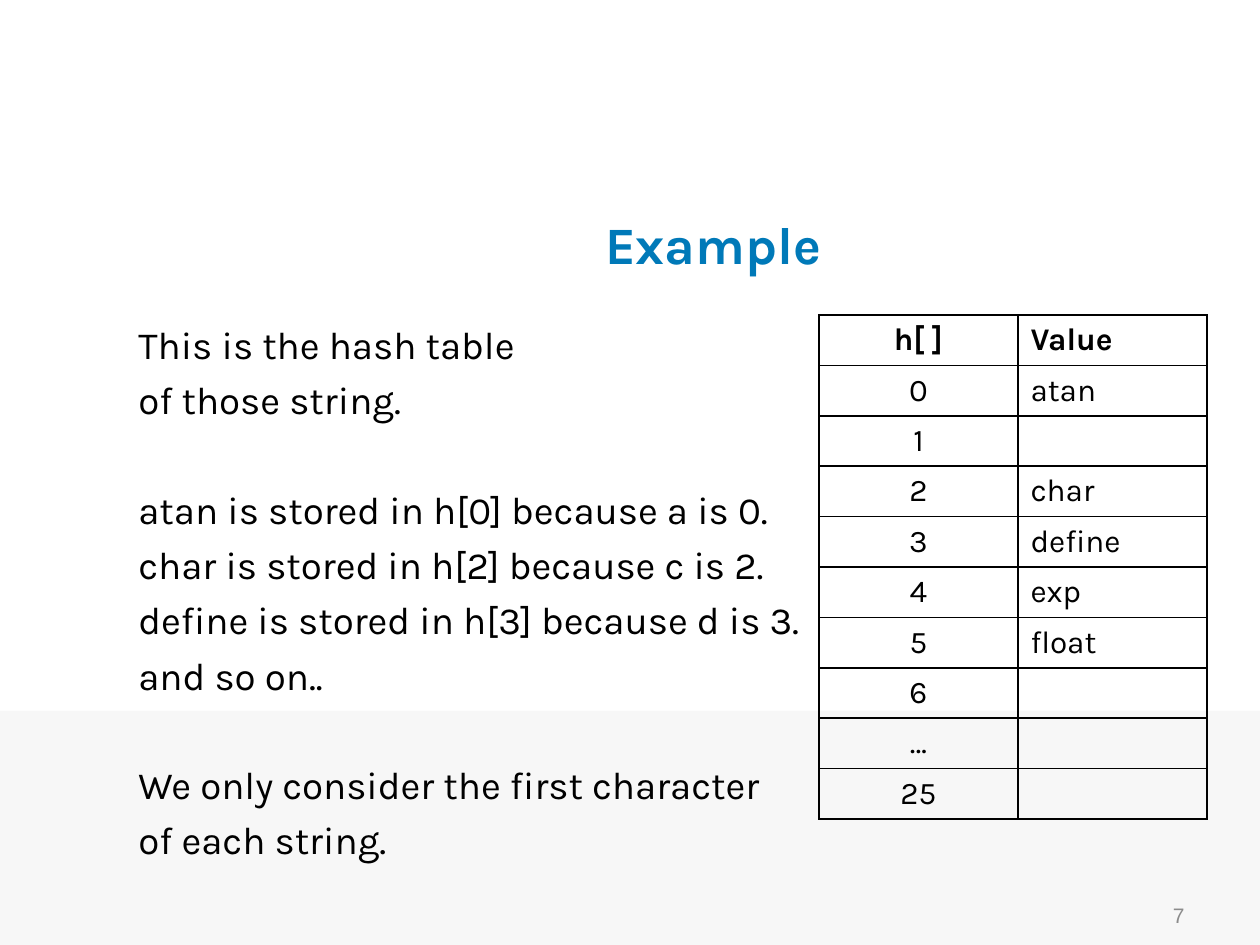
from lxml import etree
from pptx import Presentation
from pptx.dml.color import RGBColor
from pptx.enum.shapes import MSO_SHAPE
from pptx.enum.text import MSO_ANCHOR, PP_ALIGN
from pptx.oxml.ns import qn
from pptx.util import Cm, Pt

RECT = MSO_SHAPE.RECTANGLE
MIDDLE, TOP = MSO_ANCHOR.MIDDLE, MSO_ANCHOR.TOP
LEFT, CENTER, RIGHT = PP_ALIGN.LEFT, PP_ALIGN.CENTER, PP_ALIGN.RIGHT
COLORS = {"title": "0079B8", "text": "000000", "band": "F7F7F7", "number": "8C8C8C"}
FONT = "Karla"
GROUPS = [
    ["This is the hash table", "of those string."],
    [
        "atan is stored in h[0] because a is 0.",
        "char is stored in h[2] because c is 2.",
        "define is stored in h[3] because d is 3.",
        "and so on..",
    ],
    ["We only consider the first character", "of each string."],
]
ROWS = [
    ("h[ ]", "Value"), ("0", "atan"), ("1", ""), ("2", "char"), ("3", "define"),
    ("4", "exp"), ("5", "float"), ("6", ""), ("…", ""), ("25", ""),
]


def add_run(para, text, size, color="text", font=FONT, bold=False):
    run = para.add_run()
    run.text = text
    run.font.size = Pt(size)
    run.font.name = font
    run.font.bold = bold
    run.font.color.rgb = RGBColor.from_string(COLORS[color])


def add_band(slide):
    band = slide.shapes.add_shape(RECT, 0, Cm(14.33), Cm(25.4), Cm(4.72))
    band.shadow.inherit = False
    band.fill.solid()
    band.fill.fore_color.rgb = RGBColor.from_string(COLORS["band"])
    band.line.fill.background()


def set_title(slide, text):
    title = slide.shapes.title
    title.left, title.top = Cm(4.88), Cm(3.81)
    title.width, title.height = Cm(19), Cm(2.21)
    title.text_frame.vertical_anchor = MIDDLE
    para = title.text_frame.paragraphs[0]
    para.alignment = CENTER
    add_run(para, text, 30, "title", bold=True)


def add_box(slide, left, top, width, height, anchor):
    box = slide.shapes.add_textbox(Cm(left), Cm(top), Cm(width), Cm(height))
    frame = box.text_frame
    frame.word_wrap = True
    frame.vertical_anchor = anchor
    return frame


def add_body(slide):
    frame = add_box(slide, 2.54, 6.35, 21.8, 10.34, TOP)
    para = frame.paragraphs[0]
    for group in GROUPS:
        for index, line in enumerate(group):
            if para is None:
                para = frame.add_paragraph()
                para.space_before = Pt(5.2 if index else 36.1)
            else:
                para.space_before = Pt(5.2)
            para.alignment = LEFT
            add_run(para, line, 22)
            para = None


def add_number(slide, text):
    para = add_box(slide, 18.21, 17.93, 5.92, 1.02, MIDDLE).paragraphs[0]
    para.alignment = RIGHT
    add_run(para, text, 12, "number", "Arial")


def set_border(cell):
    props = cell._tc.get_or_add_tcPr()
    for index, side in enumerate(("lnL", "lnR", "lnT", "lnB")):
        line = etree.Element(qn("a:" + side), w=str(Pt(1)))
        fill = etree.SubElement(line, qn("a:solidFill"))
        etree.SubElement(fill, qn("a:srgbClr"), val=COLORS["text"])
        props.insert(index, line)


def add_grid(slide):
    frame = slide.shapes.add_table(
        len(ROWS), 2, Cm(16.51), Cm(6.35), Cm(7.82), Cm(10.16)
    )
    table = frame.table
    table.first_row = table.horz_banding = False
    for column, width in zip(table.columns, (4.01, 3.81)):
        column.width = Cm(width)
    for r, row in enumerate(ROWS):
        table.rows[r].height = Cm(1.016)
        for c, text in enumerate(row):
            cell = table.cell(r, c)
            cell.fill.background()
            cell.margin_top = cell.margin_bottom = Cm(0.08)
            cell.vertical_anchor = MIDDLE
            set_border(cell)
            para = cell.text_frame.paragraphs[0]
            para.alignment = LEFT if c else CENTER
            if text:
                add_run(para, text, 18, bold=r == 0)


def main():
    deck = Presentation()
    deck.slide_width, deck.slide_height = Cm(25.4), Cm(19.05)
    slide = deck.slides.add_slide(deck.slide_layouts[5])
    add_band(slide)
    set_title(slide, "Example")
    add_number(slide, "7")
    add_body(slide)
    add_grid(slide)
    deck.save("out.pptx")


main()
